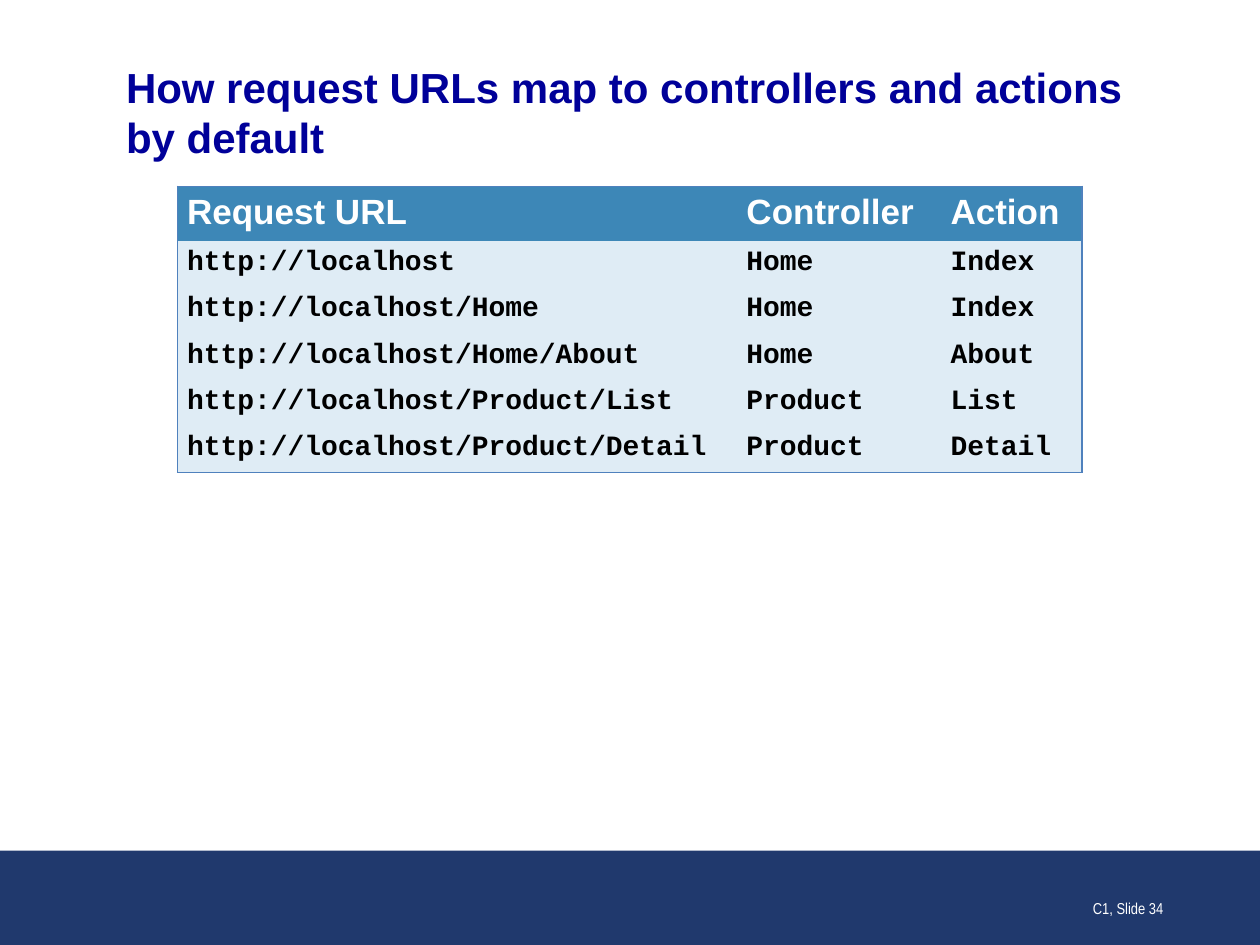
import pptx
import pptx.dml.color
import pptx.enum.shapes
import pptx.enum.text
import pptx.oxml.ns
import pptx.util
from dataclasses import dataclass
from lxml import etree

GRID = pptx.util.Inches(0.1)
NAVY, BLUE, PALE, EDGE = "20396D", "3D87B7", "DFECF5", "4F81BD"
COLUMN_WIDTHS = (44.4, 16.2, 11.2)
HEADER_HEIGHT, BODY_HEIGHT = 4.1, 3.52
ROWS = (
    ("Request URL", "Controller", "Action"),
    ("http://localhost", "Home", "Index"),
    ("http://localhost/Home", "Home", "Index"),
    ("http://localhost/Home/About", "Home", "About"),
    ("http://localhost/Product/List", "Product", "List"),
    ("http://localhost/Product/Detail", "Product", "Detail"),
)


@dataclass(frozen=True)
class Area:
    """A place on the slide, in columns and rows of a 100 by 75 grid."""
    column: float
    row: float
    width: float
    height: float

    def lengths(self) -> tuple[int, ...]:
        """Return left, top, width and height as lengths."""
        return tuple(map(units, (self.column, self.row, self.width, self.height)))


@dataclass(frozen=True)
class TextStyle:
    """Look of one paragraph of text."""
    font: str
    size: int
    color: str
    bold: bool = False
    before: int = 0
    after: int = 0
    align: pptx.enum.text.PP_ALIGN = pptx.enum.text.PP_ALIGN.LEFT


TITLE = TextStyle("Arial", 24, "000099", True, 15, 6)
HEADING = TextStyle("Arial", 20, "FFFFFF", True, 3, 6)
CODE = TextStyle("Courier New", 16, "000000", True, 3, 3)
FOOTER = TextStyle("Arial Narrow", 9, "FFFFFF", align=pptx.enum.text.PP_ALIGN.RIGHT)


def units(count: float) -> int:
    """Turn grid units into a length."""
    return round(count * GRID)


def rgb(value: str) -> pptx.dml.color.RGBColor:
    """Turn a hex string into a colour."""
    return pptx.dml.color.RGBColor.from_string(value)


def apply_format(target, values: dict) -> None:
    """Set each named attribute on the target."""
    for name, value in values.items():
        setattr(target, name, value)


def write_text(frame, text: str, style: TextStyle) -> None:
    """Write one styled paragraph into a text frame."""
    para = frame.paragraphs[0]
    apply_format(para, {
        "alignment": style.align,
        "space_before": pptx.util.Pt(style.before),
        "space_after": pptx.util.Pt(style.after),
    })
    span = para.add_run()
    span.text = text
    apply_format(span.font, {
        "name": style.font, "size": pptx.util.Pt(style.size), "bold": style.bold,
    })
    span.font.color.rgb = rgb(style.color)


def set_borders(cell, drawn: dict[str, bool]) -> None:
    """Draw or clear each side of a table cell."""
    properties = cell._tc.get_or_add_tcPr()
    name = pptx.oxml.ns.qn
    for side, visible in drawn.items():
        line = etree.SubElement(properties, name(f"a:ln{side}"), w=str(pptx.util.Pt(1)))
        fill = etree.SubElement(line, name("a:solidFill" if visible else "a:noFill"))
        if visible:
            etree.SubElement(fill, name("a:srgbClr"), val=EDGE)


def add_title(page, area: Area, text: str) -> None:
    """Place and fill the title placeholder."""
    title = page.shapes.title
    apply_format(title, dict(zip(("left", "top", "width", "height"), area.lengths())))
    apply_format(title.text_frame, {
        "margin_left": 0, "margin_right": 0, "margin_top": 0, "margin_bottom": 0,
        "word_wrap": True,
        "vertical_anchor": pptx.enum.text.MSO_ANCHOR.MIDDLE,
        "auto_size": pptx.enum.text.MSO_AUTO_SIZE.SHAPE_TO_FIT_TEXT,
    })
    write_text(title.text_frame, text, TITLE)


def add_band(page, area: Area) -> None:
    """Draw the plain band at the foot of the slide."""
    band = page.shapes.add_shape(pptx.enum.shapes.MSO_SHAPE.RECTANGLE, *area.lengths())
    band.shadow.inherit = False
    band.fill.solid()
    band.fill.fore_color.rgb = rgb(NAVY)
    band.line.fill.background()


def add_url_table(page, column: float, row: float) -> None:
    """Build the table of URLs, controllers and actions."""
    heights = [HEADER_HEIGHT] + [BODY_HEIGHT] * (len(ROWS) - 1)
    area = Area(column, row, sum(COLUMN_WIDTHS), sum(heights))
    table = page.shapes.add_table(len(ROWS), len(COLUMN_WIDTHS), *area.lengths()).table
    table.horz_banding = False
    for table_column, width in zip(table.columns, COLUMN_WIDTHS):
        table_column.width = units(width)
    for table_row, height in zip(table.rows, heights):
        table_row.height = units(height)
    for r, texts in enumerate(ROWS):
        for c, text in enumerate(texts):
            cell = table.cell(r, c)
            apply_format(cell, {
                "margin_left": units(0.75), "margin_right": units(0.75),
                "margin_top": units(0.5), "margin_bottom": units(0.5),
            })
            set_borders(cell, {
                "L": c == 0, "R": c == len(texts) - 1,
                "T": r == 0, "B": r == len(ROWS) - 1,
            })
            cell.fill.solid()
            cell.fill.fore_color.rgb = rgb(PALE if r else BLUE)
            write_text(cell.text_frame, text, CODE if r else HEADING)


def add_footer(page, area: Area, text: str) -> None:
    """Write the slide reference on the band."""
    box = page.shapes.add_textbox(*area.lengths())
    apply_format(box.text_frame, {
        "word_wrap": True, "vertical_anchor": pptx.enum.text.MSO_ANCHOR.BOTTOM,
    })
    write_text(box.text_frame, text, FOOTER)


def main() -> None:
    """Build and save the deck."""
    deck = pptx.Presentation()
    apply_format(deck, {"slide_width": units(100), "slide_height": units(75)})
    page = deck.slides.add_slide(deck.slide_layouts.get_by_name("Title Only"))
    add_band(page, Area(0, 67.5, 100, 7.5))
    add_title(page, Area(10, 4.8, 80, 8.1),
              "How request URLs map to controllers and actions by default")
    add_url_table(page, 14.1, 14.8)
    add_footer(page, Area(72.5, 68.3, 20.8, 5), "C1, Slide 34")
    deck.save("out.pptx")


if __name__ == "__main__":
    main()
